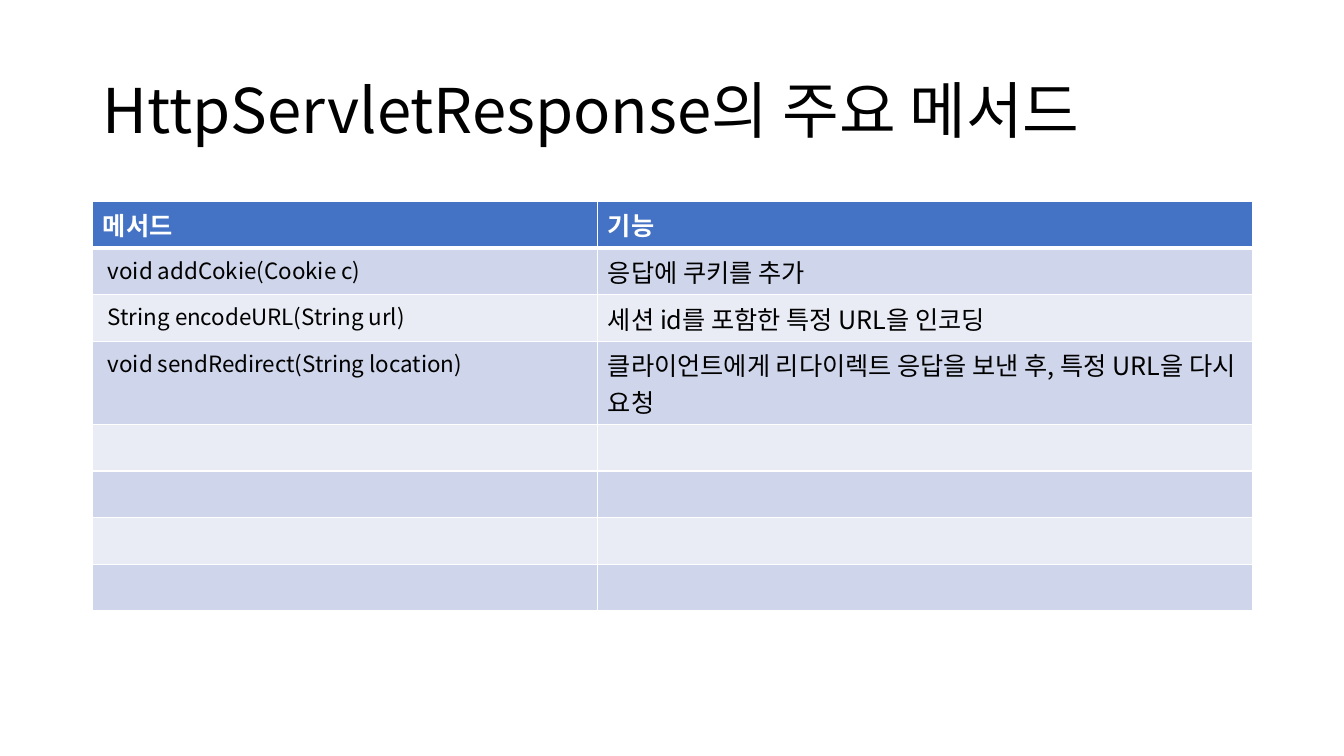
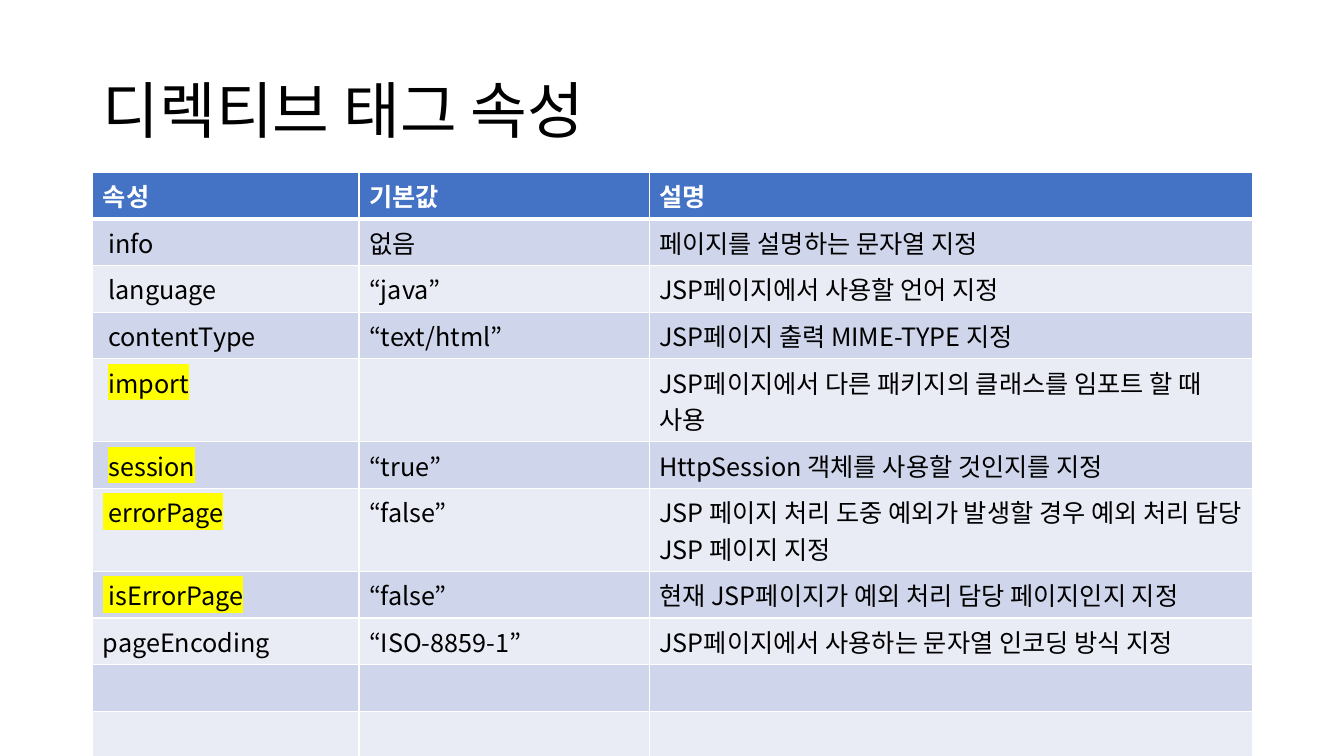
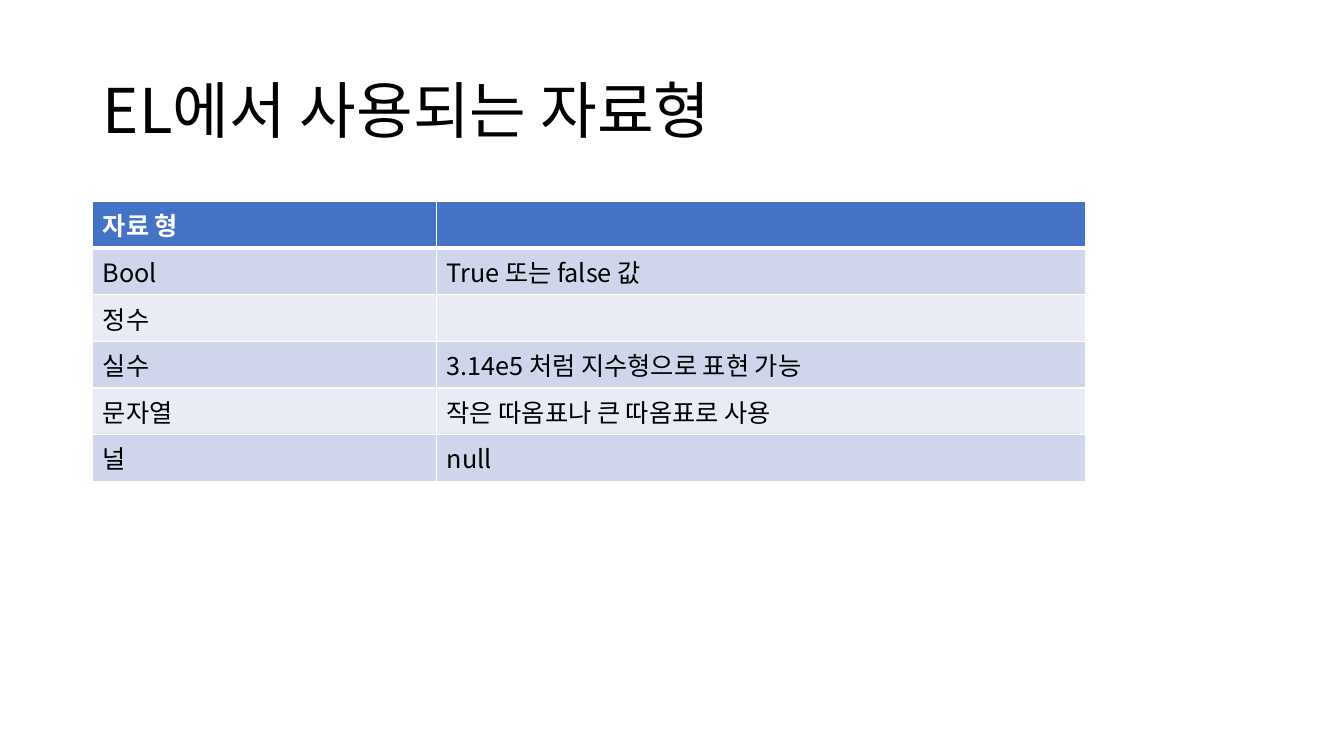
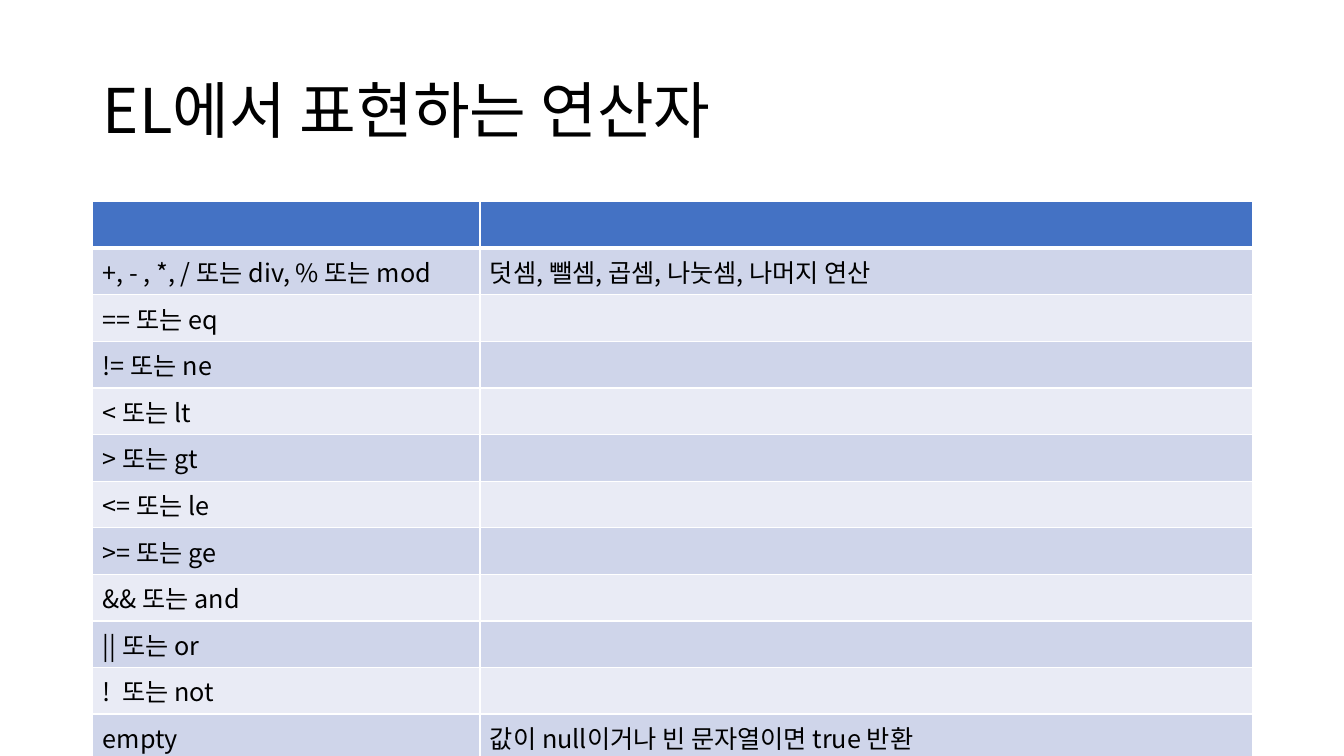
from dataclasses import dataclass

import pptx
import pptx.dml.color
import pptx.enum.text
import pptx.oxml.ns
import pptx.oxml.xmlchemy
import pptx.presentation
import pptx.slide
import pptx.table
import pptx.text.text
import pptx.util
from pptx.util import Inches


@dataclass(frozen=True)
class Theme:
    font: str = "Noto Sans CJK KR"
    text: str = "000000"
    white: str = "FFFFFF"
    header: str = "4472C4"
    bands: tuple[str, str] = ("CFD5EA", "E9EBF5")
    highlight: str = "FFFF00"
    title_size: int = 44
    table_size: int = 18
    code_size: int = 16
    border: int = 1
    header_border: int = 3


THEME = Theme()
LEFT = 0.92
CONTENT_WIDTH = 11.5
ROW_HEIGHT = 0.41


@dataclass(frozen=True)
class Cell:
    """Cell text, with an optional highlighted part after it."""
    text: str = ""
    highlighted: str = ""
    size: int = THEME.table_size


@dataclass(frozen=True)
class TableSlide:
    title: str
    columns: tuple[float, ...]
    rows: list[tuple[str | Cell, ...]]
    empty_rows: int = 0
    top: float = 2


def code(text: str) -> Cell:
    return Cell(text, size=THEME.code_size)


SLIDES = [
    TableSlide(
        "HttpServletResponse의 주요 메서드",
        (5.01, 6.49),
        [
            ("메서드", "기능"),
            (code(" void addCokie(Cookie c)"), "응답에 쿠키를 추가"),
            (code(" String encodeURL(String url)"), "세션 id를 포함한 특정 URL을 인코딩"),
            (code(" void sendRedirect(String location)"),
             "클라이언트에게 리다이렉트 응답을 보낸 후, 특정 URL을 다시 요청"),
        ],
        empty_rows=4,
    ),
    TableSlide(
        "디렉티브 태그 속성",
        (2.64, 2.88, 5.98),
        [
            ("속성", "기본값", "설명"),
            (" info", "없음", "페이지를 설명하는 문자열 지정"),
            (" language", "“java”", "JSP페이지에서 사용할 언어 지정"),
            (" contentType", "“text/html”", "JSP페이지 출력 MIME-TYPE 지정"),
            (Cell(" ", "import"), "", "JSP페이지에서 다른 패키지의 클래스를 임포트 할 때 사용"),
            (Cell(" ", "session"), "“true”", "HttpSession 객체를 사용할 것인지를 지정"),
            (Cell("", " errorPage"), "“false”",
             "JSP 페이지 처리 도중 예외가 발생할 경우 예외 처리 담당 JSP 페이지 지정"),
            (Cell("", " isErrorPage"), "“false”",
             "현재 JSP페이지가 예외 처리 담당 페이지인지 지정"),
            ("pageEncoding", "“ISO-8859-1”", "JSP페이지에서 사용하는 문자열 인코딩 방식 지정"),
        ],
        empty_rows=2,
        top=1.71,
    ),
    TableSlide(
        "EL에서 사용되는 자료형",
        (3.41, 6.44),
        [
            ("자료 형", ""),
            ("Bool", "True 또는 false 값"),
            ("정수", ""),
            ("실수", "3.14e5 처럼 지수형으로 표현 가능"),
            ("문자열", "작은 따옴표나 큰 따옴표로 사용"),
            ("널", "null"),
        ],
    ),
    TableSlide(
        "EL에서 표현하는 연산자",
        (3.84, 7.66),
        [
            ("", ""),
            ("+, - , *, / 또는 div, % 또는 mod", "덧셈, 뺄셈, 곱셈, 나눗셈, 나머지 연산"),
            ("== 또는 eq", ""),
            ("!= 또는 ne", ""),
            ("< 또는 lt", ""),
            ("> 또는 gt", ""),
            ("<= 또는 le", ""),
            (">= 또는 ge", ""),
            ("&& 또는 and", ""),
            ("|| 또는 or", ""),
            ("!  또는 not", ""),
            ("empty", "값이 null이거나 빈 문자열이면 true 반환"),
        ],
        empty_rows=1,
    ),
]


def rgb(color: str) -> pptx.dml.color.RGBColor:
    return pptx.dml.color.RGBColor.from_string(color)


def new_element(tag: str, **attributes: str):
    element = pptx.oxml.xmlchemy.OxmlElement(tag)
    for name, value in attributes.items():
        element.set(name, value)
    return element


def style_font(font: pptx.text.text.Font, size: int, color: str, bold: bool = False) -> None:
    """Format a font for both Latin and East Asian text."""
    font.size = pptx.util.Pt(size)
    font.bold = bold
    font.color.rgb = rgb(color)
    font.name = THEME.font
    latin = font._rPr.find(pptx.oxml.ns.qn("a:latin"))
    latin.addnext(new_element("a:ea", typeface=THEME.font))


def highlight(run: pptx.text.text._Run) -> None:
    mark = new_element("a:highlight")
    mark.append(new_element("a:srgbClr", val=THEME.highlight))
    run.font._rPr.find(pptx.oxml.ns.qn("a:latin")).addprevious(mark)


def add_title(slide: pptx.slide.Slide, text: str) -> None:
    title = slide.shapes.title
    title.left, title.top = Inches(LEFT), Inches(0.4)
    title.width, title.height = Inches(CONTENT_WIDTH), Inches(1.45)
    frame = title.text_frame
    frame.text = text
    frame.auto_size = pptx.enum.text.MSO_AUTO_SIZE.NONE
    frame.vertical_anchor = pptx.enum.text.MSO_ANCHOR.MIDDLE
    paragraph = frame.paragraphs[0]
    paragraph.alignment = pptx.enum.text.PP_ALIGN.LEFT
    paragraph.line_spacing = 0.9
    style_font(paragraph.runs[0].font, THEME.title_size, THEME.text)


def set_borders(cell: pptx.table._Cell, row: int) -> None:
    """Draw white borders, thicker between the header and the body."""
    widths = {
        "L": THEME.border,
        "R": THEME.border,
        "T": THEME.header_border if row == 1 else THEME.border,
        "B": THEME.header_border if row == 0 else THEME.border,
    }
    properties = cell._tc.get_or_add_tcPr()
    for side, width in widths.items():
        line = new_element(f"a:ln{side}", w=str(pptx.util.Pt(width)))
        fill = new_element("a:solidFill")
        fill.append(new_element("a:srgbClr", val=THEME.white))
        line.append(fill)
        properties.append(line)


def fill_cell(cell: pptx.table._Cell, content: Cell, row: int) -> None:
    is_header = row == 0
    set_borders(cell, row)
    cell.fill.solid()
    cell.fill.fore_color.rgb = rgb(THEME.header if is_header else THEME.bands[(row - 1) % 2])

    paragraph = cell.text_frame.paragraphs[0]
    if content.text:
        paragraph.text = content.text
    if content.highlighted:
        paragraph.add_run().text = content.highlighted
    fonts = [run.font for run in paragraph.runs]
    if not fonts:
        # An empty cell keeps its row height through the end-of-paragraph font.
        end_properties = new_element("a:endParaRPr")
        paragraph._p.append(end_properties)
        fonts = [pptx.text.text.Font(end_properties)]
    for font in fonts:
        style_font(font, content.size, THEME.white if is_header else THEME.text, is_header)
    if content.highlighted:
        highlight(paragraph.runs[-1])


def add_table(slide: pptx.slide.Slide, content: TableSlide) -> None:
    column_count = len(content.columns)
    rows = content.rows + [("",) * column_count] * content.empty_rows
    table = slide.shapes.add_table(
        len(rows), column_count, Inches(LEFT), Inches(content.top),
        Inches(sum(content.columns)), Inches(ROW_HEIGHT * len(rows)),
    ).table
    for column, width in zip(table.columns, content.columns):
        column.width = Inches(width)
    for row_index, row in enumerate(rows):
        table.rows[row_index].height = Inches(ROW_HEIGHT)
        for column_index, value in enumerate(row):
            cell_content = value if isinstance(value, Cell) else Cell(value)
            fill_cell(table.cell(row_index, column_index), cell_content, row_index)


def add_table_slide(presentation: pptx.presentation.Presentation, content: TableSlide) -> None:
    title_only = presentation.slide_layouts.get_by_name("Title Only")
    slide = presentation.slides.add_slide(title_only)
    add_title(slide, content.title)
    add_table(slide, content)


def main() -> None:
    presentation = pptx.Presentation()
    presentation.slide_width = Inches(13.33)
    presentation.slide_height = Inches(7.5)
    for content in SLIDES:
        add_table_slide(presentation, content)
    presentation.save("out.pptx")


if __name__ == "__main__":
    main()
